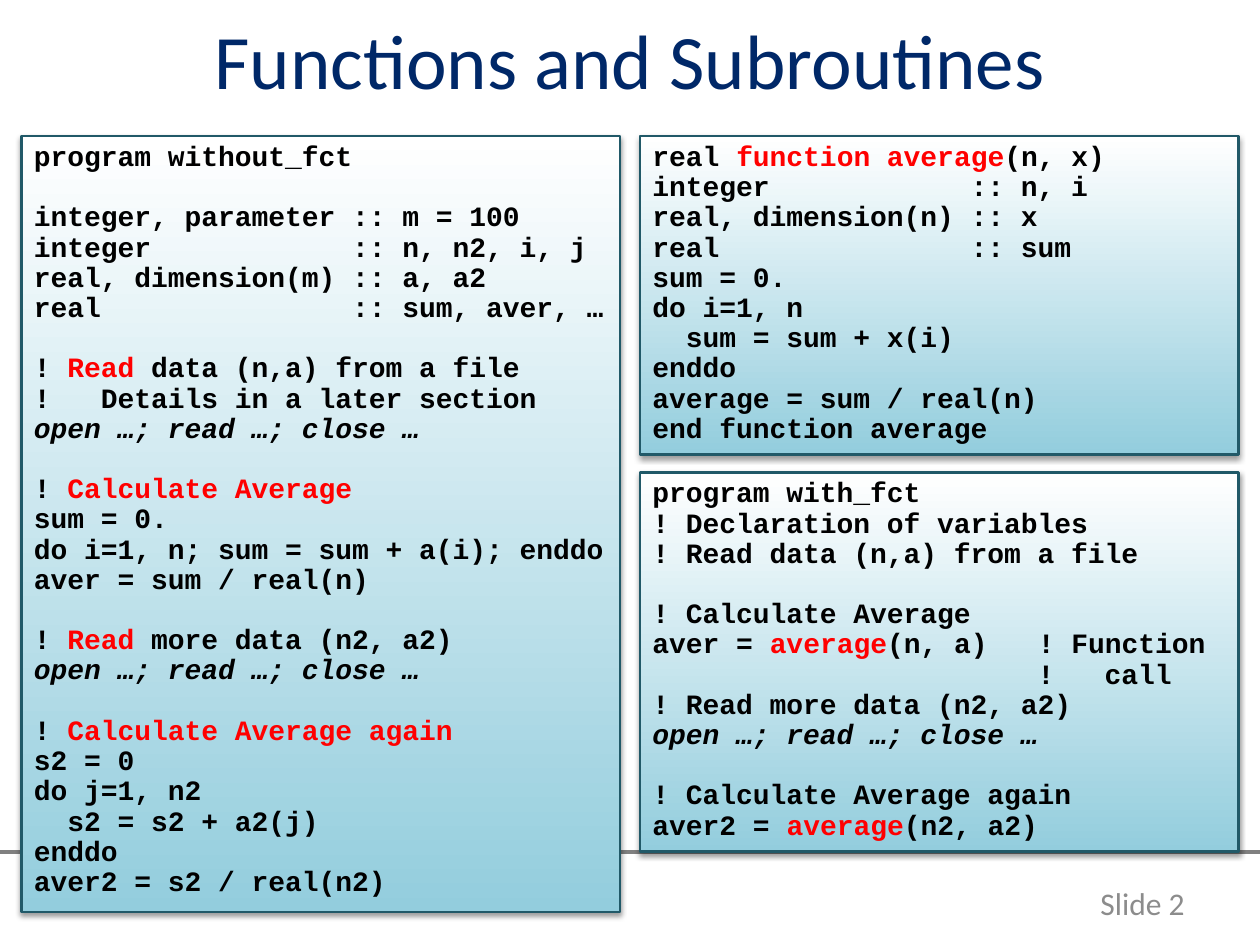
from lxml import etree
from pptx import Presentation
from pptx.dml.color import RGBColor
from pptx.enum.shapes import MSO_CONNECTOR, MSO_SHAPE
from pptx.enum.text import MSO_ANCHOR, PP_ALIGN
from pptx.oxml.ns import qn
from pptx.util import Inches, Pt

LEFT, CENTER, RIGHT = PP_ALIGN.LEFT, PP_ALIGN.CENTER, PP_ALIGN.RIGHT
TOP, MIDDLE = MSO_ANCHOR.TOP, MSO_ANCHOR.MIDDLE
RECTANGLE = MSO_SHAPE.RECTANGLE
STRAIGHT = MSO_CONNECTOR.STRAIGHT

RED_MARK, ITALIC_MARK = "|", "^"  # |red| inside a line, ^ before an italic line
CODE_SIZE = 16
BLANK_LINE = 17.25

WITHOUT_FUNCTION = """program without_fct

integer, parameter :: m = 100
integer            :: n, n2, i, j
real, dimension(m) :: a, a2
real               :: sum, aver, …

! |Read| data (n,a) from a file
!   Details in a later section
^open …; read …; close …

! |Calculate Average|
sum = 0.
do i=1, n; sum = sum + a(i); enddo
aver = sum / real(n)

! |Read| more data (n2, a2)
^open …; read …; close …

! |Calculate Average again|
s2 = 0
do j=1, n2
  s2 = s2 + a2(j)
enddo
aver2 = s2 / real(n2)"""

AVERAGE_FUNCTION = """real |function average|(n, x)
integer            :: n, i
real, dimension(n) :: x
real               :: sum
sum = 0.
do i=1, n
  sum = sum + x(i)
enddo
average = sum / real(n)
end function average"""

WITH_FUNCTION = """program with_fct
! Declaration of variables
! Read data (n,a) from a file

! Calculate Average
aver = |average|(n, a)   ! Function
                       !   call
! Read more data (n2, a2)
^open …; read …; close …

! Calculate Average again
aver2 = |average|(n2, a2)"""


def color(value):
    return RGBColor.from_string(value)


def write(para, text, font="Calibri", size=18, fill="000000", bold=False,
          italic=False, align=LEFT, spacing=1.0):
    """Add one formatted span to a paragraph."""
    para.alignment = align
    para.line_spacing = spacing
    span = para.add_run()
    span.text = text
    span.font.name = font
    span.font.size = Pt(size)
    span.font.bold = bold
    span.font.italic = italic
    span.font.color.rgb = color(fill)


def place(shape, box):
    shape.left, shape.top, shape.width, shape.height = map(Inches, box)


def add_title(page, box, text):
    title = page.shapes.title
    place(title, box)
    title.text_frame.vertical_anchor = MIDDLE
    write(title.text_frame.paragraphs[0], text, size=44, fill="002868",
          align=CENTER, spacing=0.9)


def add_footer(page, rule_y, box, text):
    rule = page.shapes.add_connector(
        STRAIGHT, Inches(0), Inches(rule_y), Inches(10), Inches(rule_y))
    rule.line.color.rgb = color("808080")
    rule.line.width = Pt(2)
    etree.SubElement(rule._element.spPr, qn("a:effectLst"))

    number = page.shapes.add_textbox(*map(Inches, box))
    number.text_frame.word_wrap = True
    number.text_frame.vertical_anchor = MIDDLE
    write(number.text_frame.paragraphs[0], text, fill="8C8C8C", align=RIGHT)


def add_shadow(shape):
    shape.shadow.inherit = False
    effects = shape._element.spPr.find(qn("a:effectLst"))
    shadow = etree.SubElement(
        effects, qn("a:outerShdw"), blurRad=str(Pt(3.1)), dist=str(Pt(1.6)),
        dir="5400000", rotWithShape="0")
    tint = etree.SubElement(shadow, qn("a:srgbClr"), val="000000")
    etree.SubElement(tint, qn("a:alpha"), val="38000")


def write_code(frame, code):
    """Write each code line as a paragraph; empty lines become space before."""
    para, gap = frame.paragraphs[0], 0
    for number, line in enumerate(code.split("\n")):
        if not line:
            gap += BLANK_LINE
            continue
        if number:
            para = frame.add_paragraph()
        para.space_before, gap = Pt(gap), 0
        italic = line.startswith(ITALIC_MARK)
        pieces = line.removeprefix(ITALIC_MARK).split(RED_MARK)
        for index, piece in enumerate(pieces):
            if piece:
                write(para, piece, font="Courier New", size=CODE_SIZE,
                      fill="FF0000" if index % 2 else "000000",
                      bold=True, italic=italic, spacing=0.9)


def add_code_panel(page, box, code):
    panel = page.shapes.add_shape(RECTANGLE, *map(Inches, box))
    panel.fill.gradient()
    panel.fill.gradient_angle = 90
    for stop, shade in zip(panel.fill.gradient_stops, ("93CDDD", "FFFFFF")):
        stop.color.rgb = color(shade)
    panel.line.color.rgb = color("215968")
    panel.line.width = Pt(1.5)
    add_shadow(panel)
    panel.text_frame.word_wrap = True
    panel.text_frame.vertical_anchor = TOP
    write_code(panel.text_frame, code)


def main():
    deck = Presentation()
    deck.slide_width, deck.slide_height = Inches(10), Inches(7.5)
    page = deck.slides.add_slide(deck.slide_layouts[5])
    add_title(page, (0.5, -0.11, 9, 1.25), "Functions and Subroutines")
    add_footer(page, 6.76, (8.41, 6.97, 1.09, 0.4), "Slide 2")

    width, top, left, right = 4.75, 1.08, 0.17, 5.08
    add_code_panel(page, (left, top, width, 6.16), WITHOUT_FUNCTION)
    add_code_panel(page, (right, top, width, 2.53), AVERAGE_FUNCTION)
    add_code_panel(page, (right, 3.75, width, 3.01), WITH_FUNCTION)
    deck.save("out.pptx")


if __name__ == "__main__":
    main()
